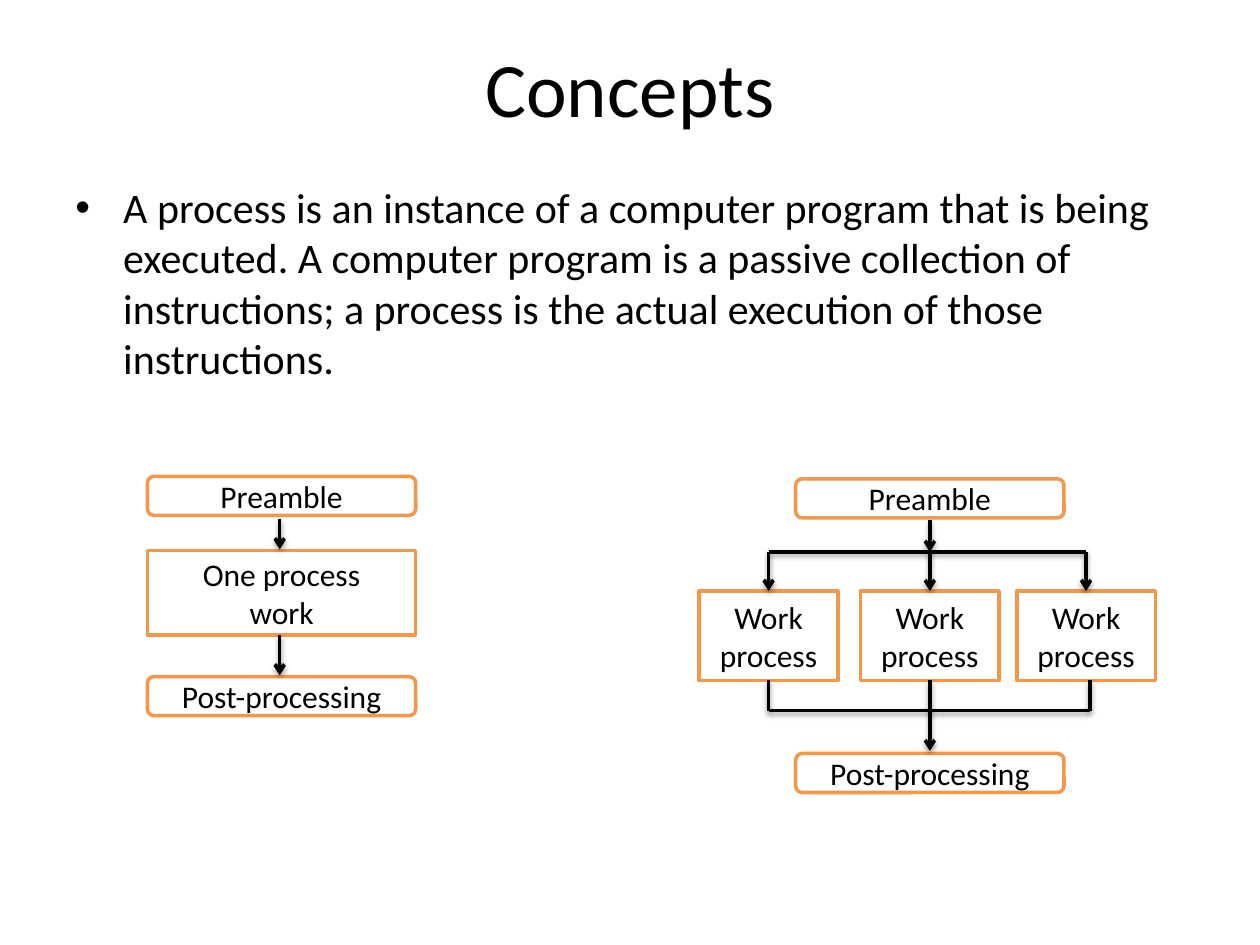
from lxml.etree import SubElement
from pptx import Presentation
from pptx.dml.color import RGBColor
from pptx.enum.shapes import MSO_CONNECTOR, MSO_SHAPE
from pptx.enum.text import MSO_ANCHOR, PP_ALIGN
from pptx.oxml.ns import qn
from pptx.util import Inches, Pt

BLACK = RGBColor(0x00, 0x00, 0x00)
WHITE = RGBColor(0xFF, 0xFF, 0xFF)
ORANGE = RGBColor(0xF7, 0x96, 0x46)
FONT = "Calibri"
COLUMNS, ROWS = 100, 75


class SlideBuilder:
    def __init__(self, presentation):
        self.width = presentation.slide_width
        self.height = presentation.slide_height
        self.slide = presentation.slides.add_slide(presentation.slide_layouts[5])

    def column(self, count):
        return round(self.width * count / COLUMNS)

    def row(self, count):
        return round(self.height * count / ROWS)

    def area(self, left, top, width, height):
        return self.column(left), self.row(top), self.column(width), self.row(height)

    def fill_text(self, frame, text, size, alignment):
        frame.word_wrap = True
        frame.text = text
        for paragraph in frame.paragraphs:
            paragraph.alignment = alignment
            paragraph.font.name = FONT
            paragraph.font.size = Pt(size)
            paragraph.font.color.rgb = BLACK

    def title(self, text, *area):
        shape = self.slide.shapes.title
        shape.left, shape.top, shape.width, shape.height = self.area(*area)
        shape.text_frame.vertical_anchor = MSO_ANCHOR.MIDDLE
        self.fill_text(shape.text_frame, text, 44, PP_ALIGN.CENTER)

    def bullet(self, text, *area):
        frame = self.slide.shapes.add_textbox(*self.area(*area)).text_frame
        self.fill_text(frame, text, 24, PP_ALIGN.LEFT)
        paragraph = frame.paragraphs[0]
        paragraph.space_before = Pt(4.8)
        properties = paragraph._p.get_or_add_pPr()
        properties.set("marL", str(Inches(0.38)))
        properties.set("indent", str(-Inches(0.38)))
        bullet_font = SubElement(properties, qn("a:buFont"), typeface="Arial")
        bullet_font.addnext(SubElement(properties, qn("a:buChar"), char="•"))
        default_run = properties.find(qn("a:defRPr"))
        if default_run is not None:
            properties.append(default_run)

    def box(self, text, center, top, width, height, preset=MSO_SHAPE.RECTANGLE):
        shape = self.slide.shapes.add_shape(
            preset, *self.area(center - width / 2, top, width, height))
        shape.shadow.inherit = False
        shape.fill.solid()
        shape.fill.fore_color.rgb = WHITE
        shape.line.color.rgb = ORANGE
        shape.line.width = Pt(2)
        shape.text_frame.vertical_anchor = MSO_ANCHOR.MIDDLE
        self.fill_text(shape.text_frame, text, 18, PP_ALIGN.CENTER)

    def stage(self, text, center, top):
        self.box(text, center, top, 21.3, 3.1, MSO_SHAPE.ROUNDED_RECTANGLE)

    def line(self, start_column, start_row, end_column, end_row, arrow=False):
        connector = self.slide.shapes.add_connector(
            MSO_CONNECTOR.STRAIGHT, self.column(start_column), self.row(start_row),
            self.column(end_column), self.row(end_row))
        connector.line.color.rgb = BLACK
        connector.line.width = Pt(2)
        properties = connector._element.spPr
        if arrow:
            SubElement(properties.find(qn("a:ln")), qn("a:tailEnd"), type="arrow")
        effects = SubElement(properties, qn("a:effectLst"))
        shadow = SubElement(effects, qn("a:outerShdw"), blurRad=str(Pt(3.1)),
                            dist=str(Pt(1.6)), dir="5400000", rotWithShape="0")
        color = SubElement(shadow, qn("a:srgbClr"), val=str(BLACK))
        SubElement(color, qn("a:alpha"), val="38000")

    def arrow(self, column, start_row, end_row):
        self.line(column, start_row, column, end_row, arrow=True)


presentation = Presentation()
presentation.slide_width = Inches(10)
presentation.slide_height = Inches(7.5)
builder = SlideBuilder(presentation)

builder.title("Concepts", 5, 0.6, 90, 12.5)
builder.bullet(
    "A process is an instance of a computer program that is being executed. "
    "A computer program is a passive collection of instructions; a process is "
    "the actual execution of those instructions.", 5, 13.9, 90, 49.5)

SERIAL_CENTER = 22.35
builder.stage("Preamble", SERIAL_CENTER, 37.8)
builder.box("One process\nwork", SERIAL_CENTER, 43.7, 21.3, 6.7)
builder.stage("Post-processing", SERIAL_CENTER, 53.7)
for start_row, end_row in ((41.2, 43.6), (50.4, 53.6)):
    builder.arrow(22.2, start_row, end_row)

WORKER_CENTERS = (61, 73.8, 86.2)
FIRST, MIDDLE, LAST = WORKER_CENTERS
FORK_ROW, WORK_ROW, WORK_HEIGHT, JOIN_ROW = 43.8, 46.9, 7.1, 56.4
JOIN_END = 86.5
builder.stage("Preamble", MIDDLE, 38)
builder.stage("Post-processing", MIDDLE, 59.8)
for center in WORKER_CENTERS:
    builder.box("Work\nprocess", center, WORK_ROW, 11, WORK_HEIGHT)
    builder.arrow(center, FORK_ROW, WORK_ROW)
for column in (FIRST, MIDDLE, JOIN_END):
    builder.line(column, WORK_ROW + WORK_HEIGHT, column, JOIN_ROW)
builder.line(FIRST, FORK_ROW, LAST, FORK_ROW)
builder.line(FIRST, JOIN_ROW, JOIN_END, JOIN_ROW)
builder.arrow(MIDDLE, 41.3, FORK_ROW)
builder.arrow(MIDDLE, JOIN_ROW, 59.6)

presentation.save("out.pptx")
